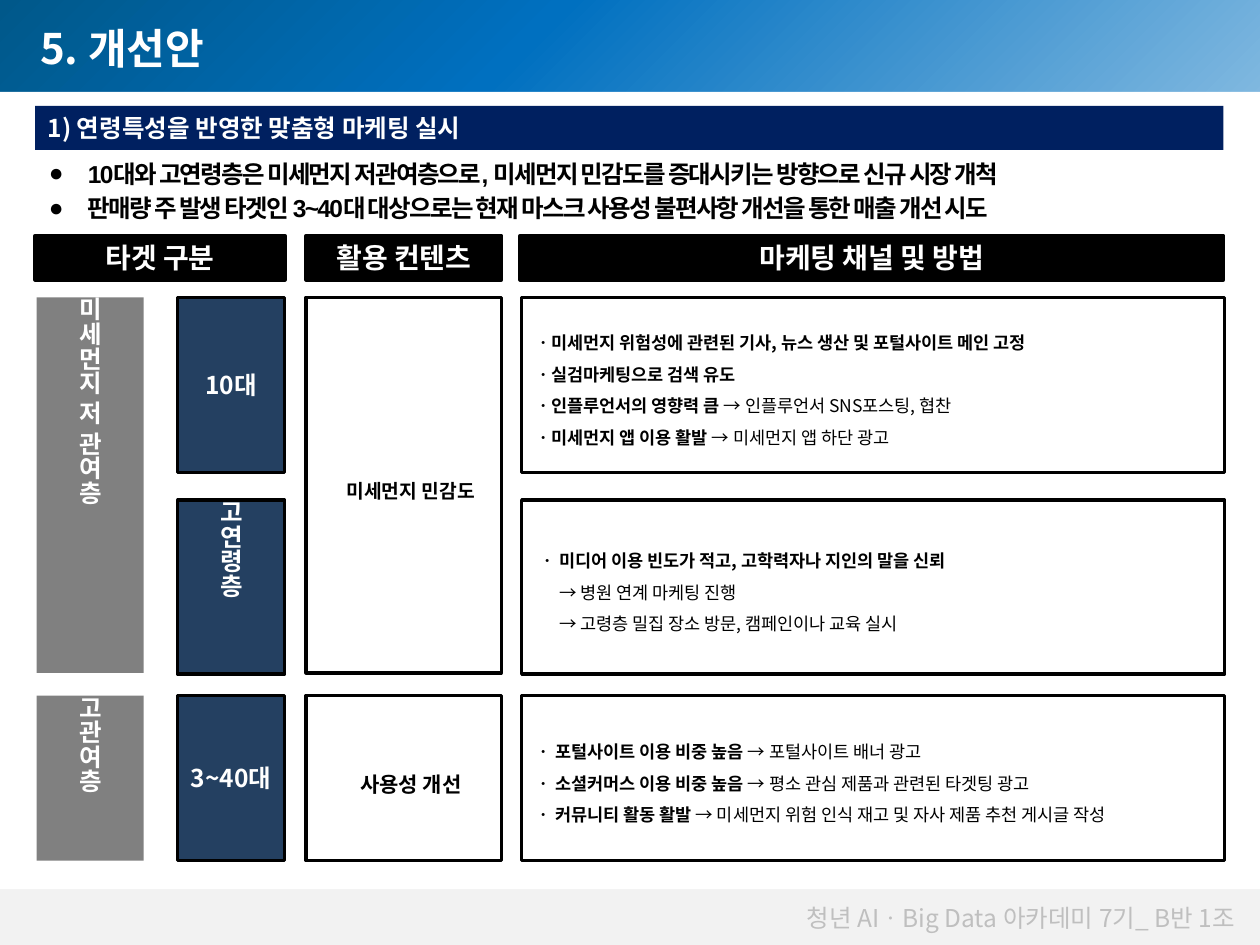
from lxml import etree
from pptx import Presentation
from pptx.dml.color import RGBColor
from pptx.enum.shapes import MSO_SHAPE
from pptx.enum.text import MSO_ANCHOR, PP_ALIGN
from pptx.oxml import parse_xml
from pptx.oxml.ns import nsdecls, qn
from pptx.util import Inches, Pt

RECT = MSO_SHAPE.RECTANGLE
MIDDLE, TOP = MSO_ANCHOR.MIDDLE, MSO_ANCHOR.TOP
LEFT, CENTER, RIGHT = PP_ALIGN.LEFT, PP_ALIGN.CENTER, PP_ALIGN.RIGHT
KOREAN = "Noto Sans CJK KR"
BLACK, WHITE, NAVY, GRAY = "000000", "FFFFFF", "244061", "808080"

deck = Presentation()
deck.slide_width, deck.slide_height = Inches(10), Inches(7.5)
slide = deck.slides.add_slide(deck.slide_layouts[6])


def add_box(left, top, width, height, fill=None, border=0):
    box = slide.shapes.add_shape(RECT, *map(Inches, (left, top, width, height)))
    box.shadow.inherit = False
    if fill:
        box.fill.solid()
        box.fill.fore_color.rgb = RGBColor.from_string(fill)
    else:
        box.fill.background()
    if border:
        box.line.color.rgb = RGBColor.from_string(BLACK)
        box.line.width = Pt(border)
    else:
        box.line.fill.background()
    return box


def write(box, paragraphs, size, color=WHITE, align=CENTER, anchor=MIDDLE,
          inset=(0, 0), indent=None, spacing=None, vertical=False,
          font=KOREAN, bullet=None):
    frame = box.text_frame
    frame.word_wrap = True
    frame.vertical_anchor = anchor
    frame.margin_left = frame.margin_right = Inches(inset[0])
    frame.margin_top = frame.margin_bottom = Inches(inset[1])
    if vertical:
        frame._txBody.bodyPr.set("vert", "eaVert")
    for number, runs in enumerate(paragraphs):
        paragraph = frame.add_paragraph() if number else frame.paragraphs[0]
        paragraph.alignment = align
        if spacing:
            paragraph.line_spacing = spacing
        properties = paragraph._p.get_or_add_pPr()
        if indent:
            margin, first = indent[number] if isinstance(indent, list) else indent
            properties.set("marL", str(Inches(margin)))
            properties.set("indent", str(Inches(first)))
        if bullet:
            if number:
                paragraph.space_before = Pt(3)
            etree.SubElement(properties, qn("a:buFont")).set("typeface", "Arial")
            etree.SubElement(properties, qn("a:buChar")).set("char", bullet)
        for text, bold in runs:
            run = paragraph.add_run()
            run.text = text
            run.font.name = font
            run.font.size = Pt(size)
            run.font.bold = bold
            run.font.color.rgb = RGBColor.from_string(color)
            etree.SubElement(run._r.rPr, qn("a:ea")).set("typeface", KOREAN)
            if bullet:
                run._r.rPr.set("spc", "-100")


PADDING = (0.1, 0.05)
add_box(0, 6.82, 10, 0.68, "F2F2F2")
banner = add_box(0, 0, 10, 6.82)
stops = "".join(
    f'<a:gs pos="{share * 1000}"><a:srgbClr val="{color}"/></a:gs>'
    for share, color in [(0, "00588A"), (27, "0070C0"), (100, WHITE)])
gradient = parse_xml(
    f'<a:gradFill {nsdecls("a")} rotWithShape="1"><a:gsLst>{stops}</a:gsLst>'
    '<a:lin ang="2700000" scaled="0"/></a:gradFill>')
no_fill = banner._element.spPr.find(qn("a:noFill"))
banner._element.spPr.replace(no_fill, gradient)
add_box(0, 0.73, 10, 6.33, WHITE)
add_box(0, 7.06, 10, 0.44, "F2F2F2")

footer = slide.shapes.add_textbox(*map(Inches, (5.18, 7.12, 4.72, 0.34)))
write(footer, [[("청년 AIㆍBig Data 아카데미 7기_ B반 1조", False)]], 14, "BFBFBF",
      RIGHT, TOP, PADDING)
title = slide.shapes.add_textbox(*map(Inches, (0.22, 0.13, 4.18, 0.5)))
write(title, [[("5. 개선안", True)]], 24, WHITE, LEFT, TOP, PADDING)
write(add_box(0.28, 0.84, 9.43, 0.35, "002060"),
      [[("1) 연령특성을 반영한 맞춤형 마케팅 실시", True)]], 14, WHITE, LEFT, MIDDLE, PADDING)

summary = slide.shapes.add_textbox(*map(Inches, (0.29, 1.21, 9.44, 0.55)))
write(summary, [
    [("10대와 고연령층은 미세먼지 저관여층으로, 미세먼지 민감도를 증대시키는 방향으로 신규 시장 개척", True)],
    [("판매량 주 발생 타겟인 3~40대 대상으로는 현재 마스크 사용성 불편사항 개선을 통한 매출 개선 시도", True)],
], 14, BLACK, LEFT, TOP, PADDING, indent=(0.31, -0.31), font="Arial", bullet="●")

GROUP, TARGET, CONTENT, CHANNEL = (0.29, 0.85), (1.41, 0.85), (2.43, 1.55), (4.14, 5.58)
TEENS, SENIORS, ADULTS = (2.36, 1.39), (3.97, 1.38), (5.52, 1.31)
LOW_INTEREST = (2.36, 2.98)
HANGING = (0.2, -0.09)

for heading, left, width in [("타겟 구분", 0.28, 1.98), ("활용 컨텐츠", *CONTENT),
                             ("마케팅 채널 및 방법", 4.13, 5.58)]:
    write(add_box(left, 1.87, width, 0.35, BLACK, 2.25), [[(heading, True)]], 16,
          inset=PADDING)

for label, column, row, fill, border, vertical in [
    ("미세먼지 저 관여층", GROUP, LOW_INTEREST, GRAY, 0, True),
    ("고관여층", GROUP, ADULTS, GRAY, 0, True),
    ("10대", TARGET, TEENS, NAVY, 2, False),
    ("고연령층", TARGET, SENIORS, NAVY, 2, True),
    ("3~40대", TARGET, ADULTS, NAVY, 2, False),
]:
    write(add_box(column[0], row[0], column[1], row[1], fill, border),
          [[(label, True)]], 14, vertical=vertical)

for content, row, size in [("미세먼지 민감도", LOW_INTEREST, 11), ("사용성 개선", ADULTS, 12)]:
    write(add_box(CONTENT[0], row[0], CONTENT[1], row[1], border=2),
          [[(content, True)]], size, BLACK, indent=HANGING, spacing=1.5)

channels = [
    (TEENS, HANGING, [
        [("ㆍ미세먼지 위험성에 관련된 기사, 뉴스 생산 및 포털사이트 메인 고정", True)],
        [("ㆍ실검마케팅으로 검색 유도", True)],
        [("ㆍ인플루언서의 영향력 큼 ", True), ("→ 인플루언서 SNS포스팅, 협찬", False)],
        [("ㆍ미세먼지 앱 이용 활발 ", True), ("→ 미세먼지 앱 하단 광고", False)],
    ]),
    (SENIORS, [(0.23, -0.09), (0.3, 0), (0.3, 0)], [
        [("ㆍ 미디어 이용 빈도가 적고, 고학력자나 지인의 말을 신뢰", True)],
        [("→ 병원 연계 마케팅 진행", False)],
        [("→ 고령층 밀집 장소 방문, 캠페인이나 교육 실시", False)],
    ]),
    (ADULTS, HANGING, [
        [("ㆍ 포털사이트 이용 비중 높음 ", True), ("→ 포털사이트 배너 광고", False)],
        [("ㆍ 소셜커머스 이용 비중 높음 ", True), ("→ 평소 관심 제품과 관련된 타겟팅 광고", False)],
        [("ㆍ 커뮤니티 활동 활발 ", True),
         ("→ 미세먼지 위험 인식 재고 및 자사 제품 추천 게시글 작성", False)],
    ]),
]
for row, indent, methods in channels:
    write(add_box(CHANNEL[0], row[0], CHANNEL[1], row[1], border=2), methods, 10, BLACK,
          LEFT, indent=indent, spacing=1.5)

deck.save("out.pptx")
